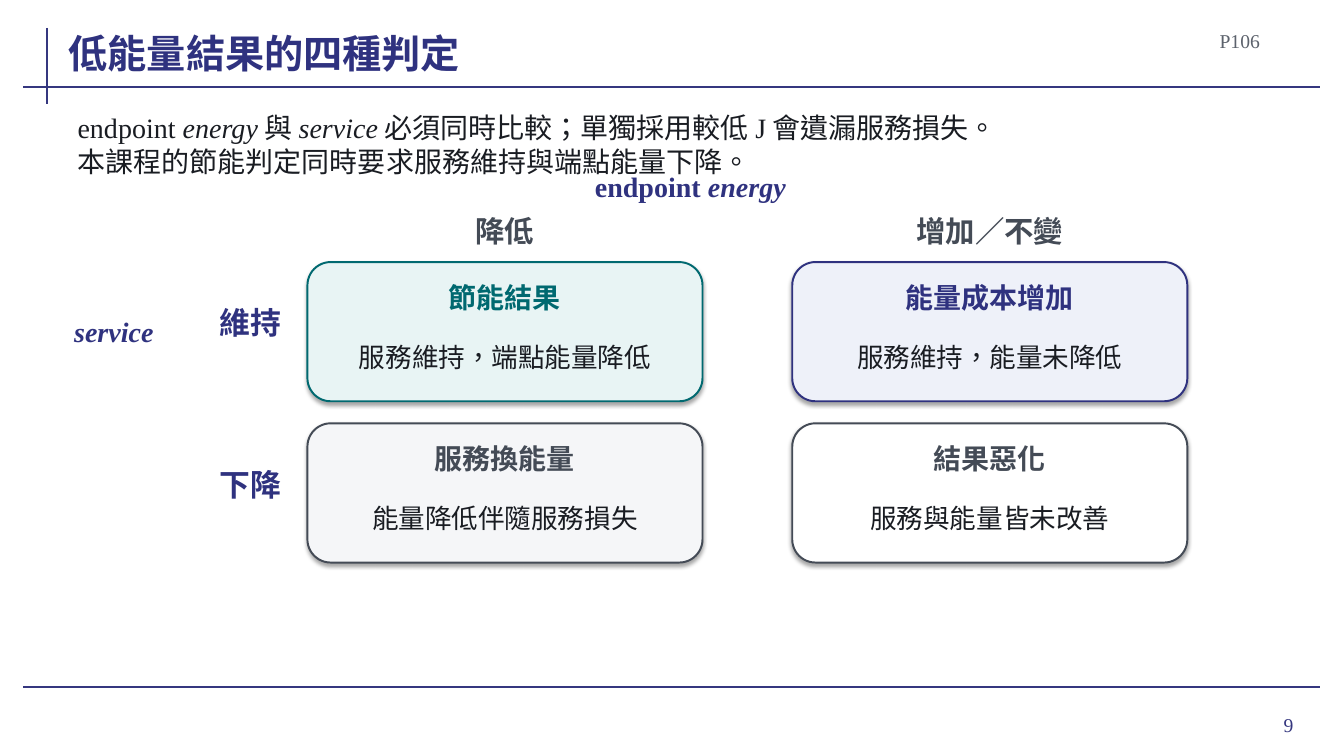
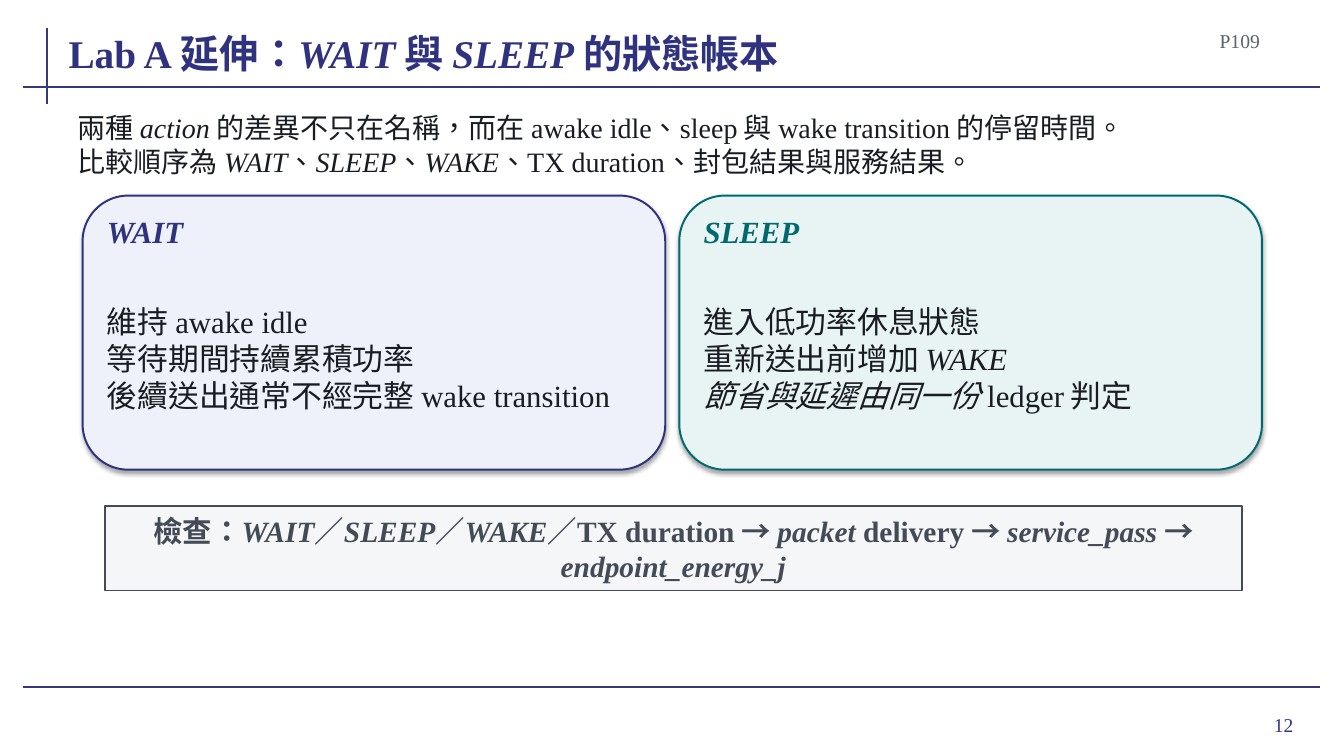
"""Build two course slides on judging energy results and on WAIT and SLEEP states."""

from lxml.etree import SubElement
from pptx import Presentation
from pptx.dml.color import RGBColor
from pptx.enum.shapes import MSO_CONNECTOR, MSO_SHAPE
from pptx.enum.text import MSO_ANCHOR, PP_ALIGN
from pptx.oxml.ns import qn
from pptx.util import Pt

NAVY = RGBColor(0x2F, 0x32, 0x7F)
RULE = RGBColor(0x35, 0x37, 0x7F)
TEAL = RGBColor(0x00, 0x69, 0x70)
SLATE = RGBColor(0x44, 0x4B, 0x56)
GRAY = RGBColor(0x5C, 0x62, 0x6C)
INK = RGBColor(0x19, 0x1C, 0x22)
PALE_NAVY = RGBColor(0xEE, 0xF1, 0xF9)
PALE_TEAL = RGBColor(0xE8, 0xF4, 0xF4)
PALE_GRAY = RGBColor(0xF5, 0xF6, 0xF8)
WHITE = RGBColor(0xFF, 0xFF, 0xFF)

LATIN_FONT = "Times New Roman"
CHINESE_FONT = "Noto Sans CJK SC"
LEFT, CENTER, RIGHT = PP_ALIGN.LEFT, PP_ALIGN.CENTER, PP_ALIGN.RIGHT
TOP, MIDDLE, BOTTOM = MSO_ANCHOR.TOP, MSO_ANCHOR.MIDDLE, MSO_ANCHOR.BOTTOM


def add_styled_run(paragraph, text, size, color, bold):
    """Add a run in the font its script needs; a leading asterisk means italic."""
    run = paragraph.add_run()
    run.text = text.removeprefix("*")
    is_chinese = any(ord(character) > 0x2000 for character in text)
    font = run.font
    font.name = CHINESE_FONT if is_chinese else LATIN_FONT
    font.size = Pt(size)
    font.bold = bold
    font.italic = text.startswith("*")
    font.color.rgb = color
    properties = run._r.get_or_add_rPr()
    properties.set("lang", "zh-TW" if is_chinese else "en-US")
    SubElement(properties, qn("a:ea")).set("typeface", CHINESE_FONT)


def write_text(shape, text, size, color, bold=False, align=LEFT, anchor=MIDDLE, margin=3, wrap=True):
    """Write text whose runs are parted by bars and whose lines by line breaks."""
    frame = shape.text_frame
    frame.word_wrap = wrap
    frame.vertical_anchor = anchor
    frame.margin_left = frame.margin_right = Pt(margin)
    frame.margin_top = frame.margin_bottom = Pt(margin)
    paragraph = frame.paragraphs[0]
    paragraph.alignment = align
    for index, line in enumerate(text.split("\n")):
        if index:
            paragraph.add_line_break()
        for part in line.split("|"):
            add_styled_run(paragraph, part, size, color, bold)


def add_text(slide, box, text, size, color, **style):
    """Add a text box at (left, top, width, height)."""
    write_text(slide.shapes.add_textbox(*map(Pt, box)), text, size, color, **style)


def add_rule(slide, start_x, start_y, end_x, end_y):
    """Add a straight rule without a shadow."""
    ends = map(Pt, (start_x, start_y, end_x, end_y))
    connector = slide.shapes.add_connector(MSO_CONNECTOR.STRAIGHT, *ends)
    connector.line.color.rgb = RULE
    connector.line.width = Pt(1.5)
    SubElement(connector._element.spPr, qn("a:effectLst"))


def add_panel(slide, kind, box, fill, outline, line_width):
    """Add a filled and outlined shape without a shadow."""
    shape = slide.shapes.add_shape(kind, *map(Pt, box))
    shape.shadow.inherit = False
    shape.fill.solid()
    shape.fill.fore_color.rgb = fill
    shape.line.color.rgb = outline
    shape.line.width = Pt(line_width)
    return shape


def add_soft_shadow(shape):
    """Give a shape a soft shadow that falls straight down."""
    effects = shape._element.spPr.find(qn("a:effectLst"))
    shadow = SubElement(effects, qn("a:outerShdw"))
    settings = {"blurRad": Pt(3.1), "dist": Pt(1.8), "dir": 90 * 60000, "rotWithShape": 0}
    for name, value in settings.items():
        shadow.set(name, str(int(value)))
    color = SubElement(shadow, qn("a:srgbClr"))
    color.set("val", "000000")
    SubElement(color, qn("a:alpha")).set("val", "35000")


def add_card(slide, box, heading, body, fill, accent, heading_size, body_size, align):
    """Add a rounded card with a heading and a body text."""
    left, top, width, height = box
    add_soft_shadow(add_panel(slide, MSO_SHAPE.ROUNDED_RECTANGLE, box, fill, accent, 1.4))
    inner_left, inner_width = left + 14.4, width - 28.8
    add_text(slide, (inner_left, top + 11.5, inner_width, 27.4), heading, heading_size, accent,
             bold=True, align=align)
    add_text(slide, (inner_left, top + 46, inner_width, height - 56), body, body_size, INK, align=align)


def add_base_slide(presentation, title, code, number, introduction):
    """Add a slide with its rules, title, code, page number and introduction."""
    slide = presentation.slides.add_slide(presentation.slide_layouts[6])
    add_rule(slide, 33.8, 20, 33.8, 74.2)
    for height in (61.9, 491):
        add_rule(slide, 16.6, height, 943.2, height)
    add_text(slide, (861, 499, 70, 37.4), number, 14, RULE, align=RIGHT, margin=7.2)
    add_text(slide, (49, 13, 785, 41.8), title, 28, NAVY, bold=True, anchor=BOTTOM, margin=0, wrap=False)
    add_text(slide, (844, 19.5, 59, 18.7), code, 14, GRAY, align=RIGHT)
    add_text(slide, (54.7, 80.6, 848, 44.6), introduction, 20, INK, margin=0.7)
    return slide


def add_judgement_slide(presentation):
    """Add the matrix of energy against service."""
    slide = add_base_slide(
        presentation, "低能量結果的四種判定", "P106", "9",
        "endpoint |*energy| 與 |*service| 必須同時比較；單獨採用較低 |J| 會遺漏服務損失。\n"
        "本課程的節能判定同時要求服務維持與端點能量下降。")
    add_text(slide, (41.8, 218, 79, 37.4), "*service", 20, NAVY, bold=True, align=CENTER)
    add_text(slide, (381.6, 118, 223, 33), "endpoint |*energy", 20, NAVY, bold=True, align=CENTER, anchor=TOP)
    left, top, width, height = 219.6, 187.2, 282.2, 99.4
    column_step, row_step = 346.3, 115.2
    for column, label in enumerate(("降低", "增加／不變")):
        add_text(slide, (left + column * column_step, 149, width, 34.6), label, 21, SLATE,
                 bold=True, align=CENTER, anchor=TOP)
    rows = (
        ("維持", (("節能結果", "服務維持，端點能量降低", PALE_TEAL, TEAL),
                ("能量成本增加", "服務維持，能量未降低", PALE_NAVY, NAVY))),
        ("下降", (("服務換能量", "能量降低伴隨服務損失", PALE_GRAY, SLATE),
                ("結果惡化", "服務與能量皆未改善", WHITE, SLATE))),
    )
    for row, (label, cards) in enumerate(rows):
        row_top = top + row * row_step
        add_text(slide, (92.2, row_top + 24.5, 111.6, 37.4), label, 22, NAVY, bold=True, align=RIGHT)
        for column, card in enumerate(cards):
            box = (left + column * column_step, row_top, width, height)
            add_card(slide, box, *card, 20, 19, CENTER)


def add_ledger_slide(presentation):
    """Add the comparison of the WAIT and SLEEP states."""
    slide = add_base_slide(
        presentation, "Lab A| 延伸：|*WAIT| 與 |*SLEEP| 的狀態帳本", "P109", "12",
        "兩種 |*action| 的差異不只在名稱，而在 |awake idle|、|sleep| 與 |wake transition| 的停留時間。\n"
        "比較順序為 |*WAIT|、|*SLEEP|、|*WAKE|、|TX duration|、封包結果與服務結果。")
    cards = (
        ("*WAIT", "維持 |awake idle\n等待期間持續累積功率\n後續送出通常不經完整 |wake transition",
         PALE_NAVY, NAVY),
        ("*SLEEP", "進入低功率休息狀態\n重新送出前增加 |*WAKE\n*節省與延遲由同一份 |ledger| 判定",
         PALE_TEAL, TEAL),
    )
    for column, card in enumerate(cards):
        add_card(slide, (59 + column * 426.2, 139.7, 416.2, 195.8), *card, 22, 22, LEFT)
    check = add_panel(slide, MSO_SHAPE.RECTANGLE, (74.9, 361.4, 812.2, 60.5), PALE_GRAY, SLATE, 1.2)
    write_text(check, "檢查：|*WAIT|／|*SLEEP|／|*WAKE|／|TX duration| → |*packet |delivery| → "
               "|*service_pass| → |*endpoint_energy_j", 21, SLATE, bold=True, align=CENTER)


def main():
    """Build and save the presentation."""
    presentation = Presentation()
    presentation.slide_width = Pt(960)
    presentation.slide_height = Pt(540)
    add_judgement_slide(presentation)
    add_ledger_slide(presentation)
    presentation.save("out.pptx")


if __name__ == "__main__":
    main()
